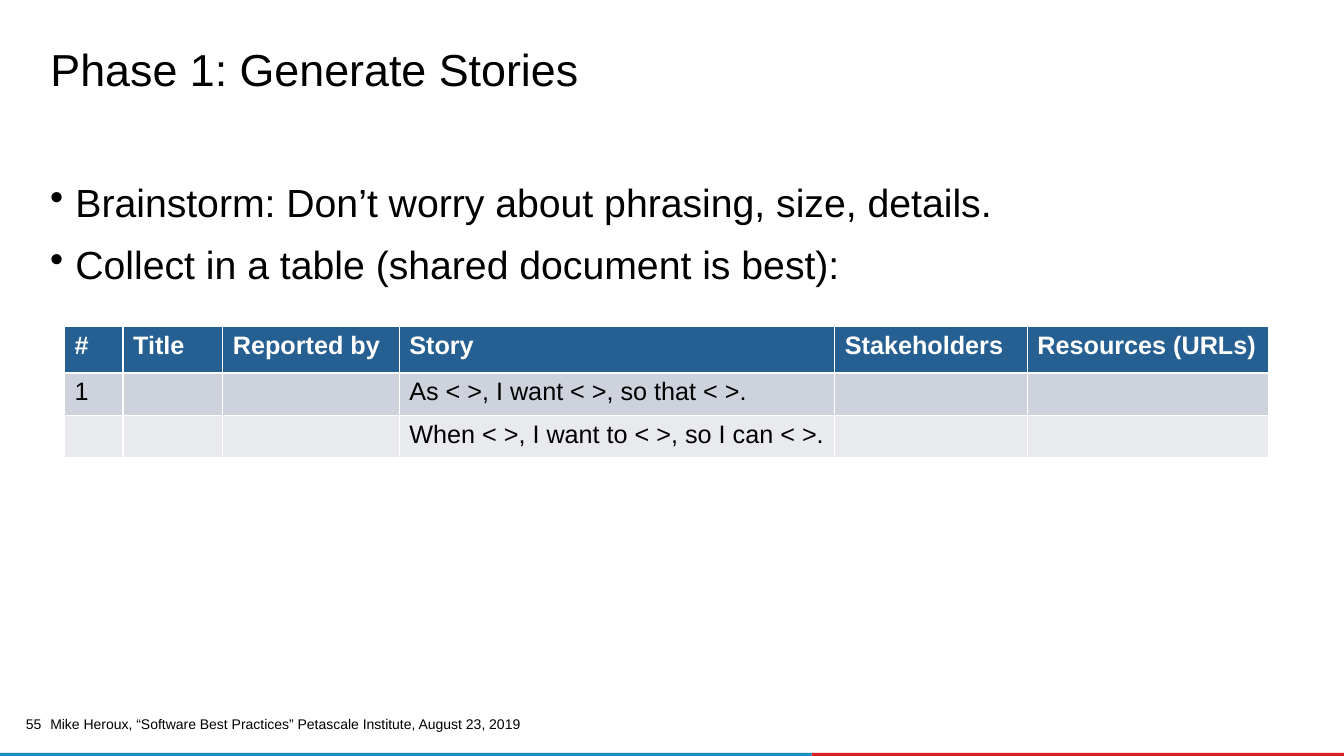
from pptx import Presentation
from pptx.dml.color import RGBColor
from pptx.enum.shapes import MSO_SHAPE
from pptx.enum.text import MSO_ANCHOR, PP_ALIGN
from pptx.oxml.ns import qn
from pptx.util import Inches, Pt
from lxml import etree

COLORS = {
    "text": "000000",
    "header_text": "FFFFFF",
    "header": "266092",
    "odd_row": "CDD2DC",
    "even_row": "E8EAEE",
    "red": "DA1F28",
    "blue": "1B8DC3",
}


def set_font(paragraph, size, color="text", bold=False):
    font_format = {"name": "Arial", "size": Pt(size), "bold": bold}
    for attribute, value in font_format.items():
        setattr(paragraph.font, attribute, value)
    paragraph.font.color.rgb = RGBColor.from_string(COLORS[color])


def add_text(left, top, width, height, lines, size):
    box = slide.shapes.add_textbox(Inches(left), Inches(top), Inches(width), Inches(height))
    frame = box.text_frame
    frame.word_wrap = True
    frame.text = "\n".join(lines)
    for paragraph in frame.paragraphs:
        set_font(paragraph, size)
    return frame


prs = Presentation()
prs.slide_width = Inches(13.33)
prs.slide_height = Inches(7.5)
slide = prs.slides.add_slide(prs.slide_layouts[5])

for left, width, color in [(8.05, 5.29, "red"), (-0.01, 8.06, "blue")]:
    stripe = slide.shapes.add_shape(
        MSO_SHAPE.RECTANGLE, Inches(left), Inches(7.47), Inches(width), Inches(0.03)
    )
    stripe.shadow.inherit = False
    stripe.fill.solid()
    stripe.fill.fore_color.rgb = RGBColor.from_string(COLORS[color])
    stripe.line.fill.background()

credit = add_text(
    0.4, 7.08, 6.22, 0.21,
    ["Mike Heroux, “Software Best Practices” Petascale Institute, August 23, 2019"], 10,
)
credit.vertical_anchor = MSO_ANCHOR.MIDDLE

page_number = add_text(0.18, 7.12, 0.23, 0.17, ["55"], 10)
for side in ("left", "top", "right", "bottom"):
    setattr(page_number, f"margin_{side}", 0)
page_number.paragraphs[0].alignment = PP_ALIGN.RIGHT
page_number.paragraphs[0].line_spacing = 0.9

title = slide.shapes.title
title_place = {"left": 0.4, "top": 0.45, "width": 12.44, "height": 0.56}
for attribute, value in title_place.items():
    setattr(title, attribute, Inches(value))
title.text_frame.text = "Phase 1: Generate Stories"
title.text_frame.vertical_anchor = MSO_ANCHOR.TOP
heading = title.text_frame.paragraphs[0]
heading.alignment = PP_ALIGN.LEFT
heading.line_spacing = 0.85
set_font(heading, 32)

steps = add_text(
    0.4, 1.77, 12.43, 1.56,
    [
        "Brainstorm: Don’t worry about phrasing, size, details.",
        "Collect in a table (shared document is best):",
    ],
    28,
)
for index, step in enumerate(steps.paragraphs):
    step.line_spacing = 0.9
    step.space_before = Pt(14 if index else 0)
    properties = step._p.get_or_add_pPr()
    properties.set("marL", str(Inches(0.25)))
    properties.set("indent", str(Inches(-0.25)))
    bullet = etree.Element(qn("a:buChar"), char="•")
    properties.find(qn("a:defRPr")).addprevious(bullet)

story_rows = [
    ["#", "Title", "Reported by", "Story", "Stakeholders", "Resources (URLs)"],
    ["1", "", "", "As < >, I want < >, so that < >.", "", ""],
    ["", "", "", "When < >, I want to < >, so I can < >.", "", ""],
]
column_widths = [0.58, 0.99, 1.75, 4.32, 1.91, 2.39]
row_heights = [0.46, 0.42, 0.42]
row_fills = ["header", "odd_row", "even_row"]

stories = slide.shapes.add_table(
    len(story_rows), len(column_widths),
    Inches(0.64), Inches(3.24), Inches(sum(column_widths)), Inches(sum(row_heights)),
).table
for column, width in zip(stories.columns, column_widths):
    column.width = Inches(width)
for row, height, fill, entries in zip(stories.rows, row_heights, row_fills, story_rows):
    row.height = Inches(height)
    is_header = fill == "header"
    for cell, entry in zip(row.cells, entries):
        cell.text = entry
        cell.fill.solid()
        cell.fill.fore_color.rgb = RGBColor.from_string(COLORS[fill])
        set_font(cell.text_frame.paragraphs[0], 18, "header_text" if is_header else "text", is_header)

prs.save("out.pptx")
